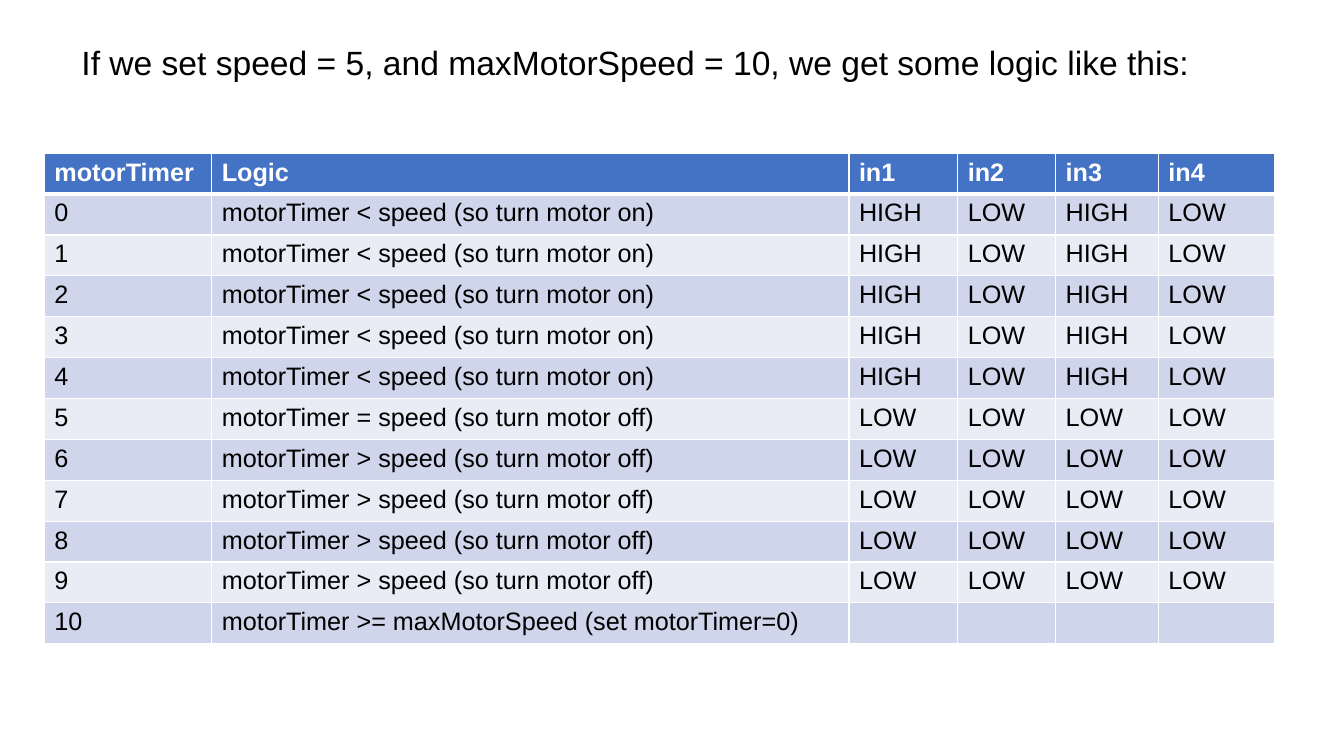
from pptx import Presentation, util as u
from pptx.dml.color import RGBColor
from pptx.oxml import parse_xml
from pptx.oxml.ns import nsdecls


def paint(fill, shade):
    fill.solid()
    fill.fore_color.rgb = RGBColor.from_string(shade)


def edge(cell, side, width):
    cell._tc.get_or_add_tcPr().append(parse_xml(
        f'<a:{side} {nsdecls("a")} w="{u.Pt(width)}"><a:solidFill>'
        f'<a:srgbClr val="FFFFFF"/></a:solidFill></a:{side}>'))


deck = Presentation()
deck.slide_width, deck.slide_height = u.Inches(13.33), u.Inches(7.5)
slide = deck.slides.add_slide(deck.slide_layouts[6])

# Motor logic for each timer value
rows = [["motorTimer", "Logic", "in1", "in2", "in3", "in4"]]
for tick in range(10):
    sign = "<" if tick < 5 else "=" if tick == 5 else ">"
    state, pin = ("on", "HIGH") if tick < 5 else ("off", "LOW")
    logic = f"motorTimer {sign} speed (so turn motor {state})"
    rows.append([str(tick), logic, pin, "LOW", pin, "LOW"])
rows.append(["10", "motorTimer >= maxMotorSpeed (set motorTimer=0)"] + [""] * 4)

# Table
widths = [1.66, 6.32, 1.08, 0.97, 1.02, 1.15]
table = slide.shapes.add_table(
    len(rows), len(widths), u.Inches(0.44), u.Inches(1.52),
    u.Inches(12.2), u.Inches(4.87)).table
for col, width in zip(table.columns, widths):
    col.width = u.Inches(width)

for r, row in enumerate(rows):
    shade = "4472C4" if r == 0 else "CFD5EA" if r % 2 else "E9EBF5"
    for c, label in enumerate(row):
        cell = table.cell(r, c)
        for side in ("lnL", "lnR", "lnT", "lnB"):
            thick = (r, side) in ((0, "lnB"), (1, "lnT"))
            edge(cell, side, 3 if thick else 1)
        paint(cell.fill, shade)
        cell.text = label
        font = cell.text_frame.paragraphs[0].font
        font.name, font.size, font.bold = "Arial", u.Pt(18), r == 0
        paint(font.fill, "000000" if r else "FFFFFF")

# Heading
head = slide.shapes.add_textbox(
    u.Inches(0.71), u.Inches(0.37), u.Inches(11.94), u.Inches(0.5)).text_frame
head.word_wrap = True
head.text = "If we set speed = 5, and maxMotorSpeed = 10, we get some logic like this:"
font = head.paragraphs[0].font
font.name, font.size = "Arial", u.Pt(24)
paint(font.fill, "000000")

deck.save("out.pptx")
